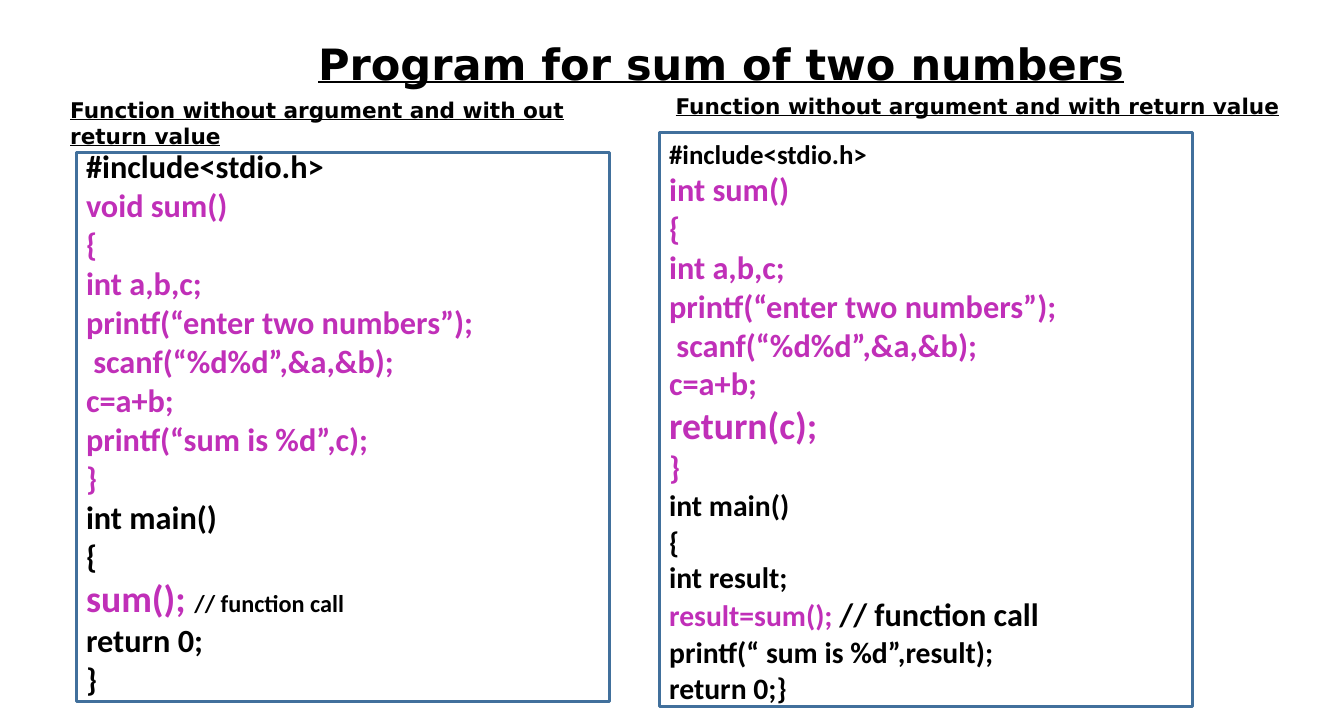
from pptx import Presentation
from pptx.dml.color import RGBColor
from pptx.enum.shapes import MSO_SHAPE
from pptx.enum.text import MSO_ANCHOR, MSO_AUTO_SIZE, PP_ALIGN
from pptx.util import Pt

RECTANGLE = MSO_SHAPE.RECTANGLE
TOP, MIDDLE = MSO_ANCHOR.TOP, MSO_ANCHOR.MIDDLE
LEFT, CENTER = PP_ALIGN.LEFT, PP_ALIGN.CENTER
NO_AUTOFIT = MSO_AUTO_SIZE.NONE

BLACK = RGBColor(0x00, 0x00, 0x00)
PURPLE = RGBColor(0xC0, 0x2F, 0xB8)
BORDER = RGBColor(0x41, 0x70, 0x9C)

HEADING_FONT, CODE_FONT = "DejaVu Sans", "Calibri"


def add_span(para, text, size, font=CODE_FONT, color=BLACK, underline=False):
    span = para.add_run()
    span.text = text
    span.font.name = font
    span.font.size = Pt(size)
    span.font.bold = True
    span.font.underline = underline
    span.font.color.rgb = color


def prepare_frame(shape, left=0, top=0, anchor=TOP):
    frame = shape.text_frame
    frame.word_wrap = True
    frame.auto_size = NO_AUTOFIT
    frame.vertical_anchor = anchor
    frame.margin_left, frame.margin_top = Pt(left), Pt(top)
    frame.margin_right = frame.margin_bottom = 0
    return frame


deck = Presentation()
deck.slide_width, deck.slide_height = Pt(1518.48), Pt(822.24)
page = deck.slides.add_slide(deck.slide_layouts[5])

# Title
title = page.shapes.title
title.left, title.top, title.width, title.height = Pt(357), Pt(39.6), Pt(914.4), Pt(60.5)
para = prepare_frame(title, left=1.5, top=3, anchor=MIDDLE).paragraphs[0]
para.alignment = CENTER
add_span(para, "Program for sum of two numbers", 48.7, font=HEADING_FONT, underline=True)

# Column headings
headings = [
    ("Function without argument and with out return value", 77.8, 106.5, 612.7, 60.5),
    ("Function without argument and with return value", 761.8, 102.2, 690, 31),
]
for text, left, top, width, height in headings:
    box = page.shapes.add_textbox(Pt(left), Pt(top), Pt(width), Pt(height))
    para = prepare_frame(box, left=1.5, top=3).paragraphs[0]
    add_span(para, text, 24.4, font=HEADING_FONT, underline=True)

# Code lines: line pitch, then spans of text, size and colour
without_return = [
    (37, [("#include<stdio.h>", 36.5, BLACK)]),
    (44, [("void sum()", 36.5, PURPLE)]),
    (44, [("{", 36.5, PURPLE)]),
    (44, [("int a,b,c;", 36.5, PURPLE)]),
    (44, [("printf(“enter two numbers”);", 36.5, PURPLE)]),
    (44, [(" scanf(“%d%d”,&a,&b);", 36.5, PURPLE)]),
    (44, [("c=a+b;", 36.5, PURPLE)]),
    (44, [("printf(“sum is %d”,c);", 36.5, PURPLE)]),
    (44, [("}", 36.5, PURPLE)]),
    (44, [("int main()", 36.5, BLACK)]),
    (44, [("{", 36.5, BLACK)]),
    (51, [("sum(); ", 42.6, PURPLE), ("// function call", 27.4, BLACK)]),
    (44, [("return 0;", 36.5, BLACK)]),
    (44, [("}", 36.5, BLACK)]),
]
with_return = [
    (36.3, [("#include<stdio.h>", 30.4, BLACK)]),
    (43.8, [("int sum()", 36.5, PURPLE)]),
    (43.8, [("{", 36.5, PURPLE)]),
    (43.8, [("int a,b,c;", 36.5, PURPLE)]),
    (43.8, [("printf(“enter two numbers”);", 36.5, PURPLE)]),
    (43.8, [(" scanf(“%d%d”,&a,&b);", 36.5, PURPLE)]),
    (43.8, [("c=a+b;", 36.5, PURPLE)]),
    (51, [("return(c);", 42.6, PURPLE)]),
    (44, [("}", 36.5, PURPLE)]),
    (41, [("int main()", 33.5, BLACK)]),
    (41, [("{", 33.5, BLACK)]),
    (40, [("int result;", 33.5, BLACK)]),
    (43.7, [("result=sum(); ", 33.5, PURPLE), ("// function call", 36.5, BLACK)]),
    (41, [("printf(“ sum is %d”,result);", 33.5, BLACK)]),
    (41, [("return 0;}", 33.5, BLACK)]),
]

# Code panels
panels = [
    (without_return, 86.4, 172.1, 620.6, 0),
    (with_return, 745.2, 149.8, 648, 5.5),
]
for code, left, top, height, inset in panels:
    panel = page.shapes.add_shape(RECTANGLE, Pt(left), Pt(top), Pt(602), Pt(height))
    panel.shadow.inherit = False
    panel.fill.background()
    panel.line.color.rgb = BORDER
    panel.line.width = Pt(3.5)
    frame = prepare_frame(panel, left=10.8, top=inset)
    for number, (pitch, spans) in enumerate(code):
        para = frame.add_paragraph() if number else frame.paragraphs[0]
        para.alignment = LEFT
        para.line_spacing = Pt(pitch)
        for text, size, color in spans:
            add_span(para, text, size, color=color)

deck.save("out.pptx")
